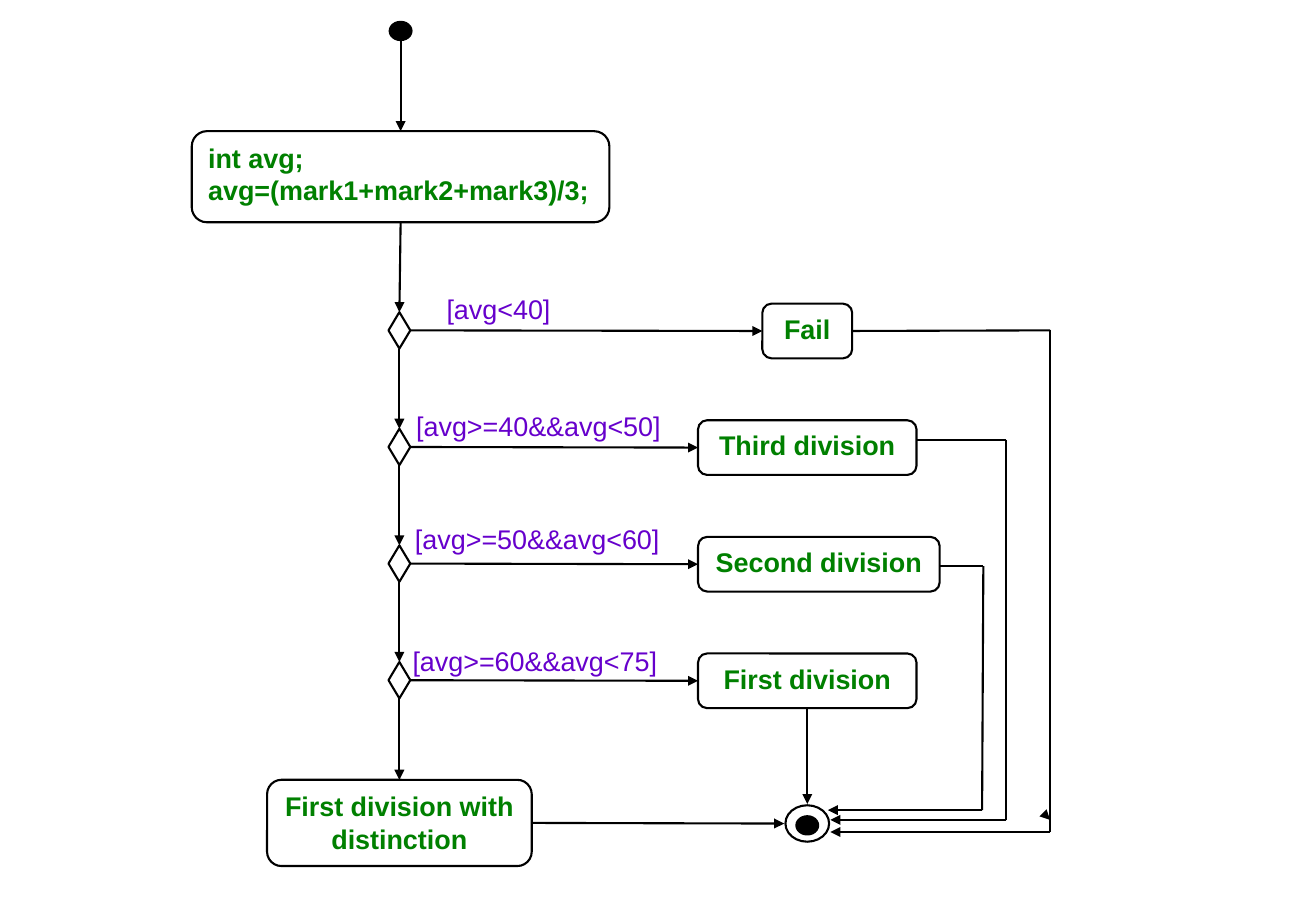
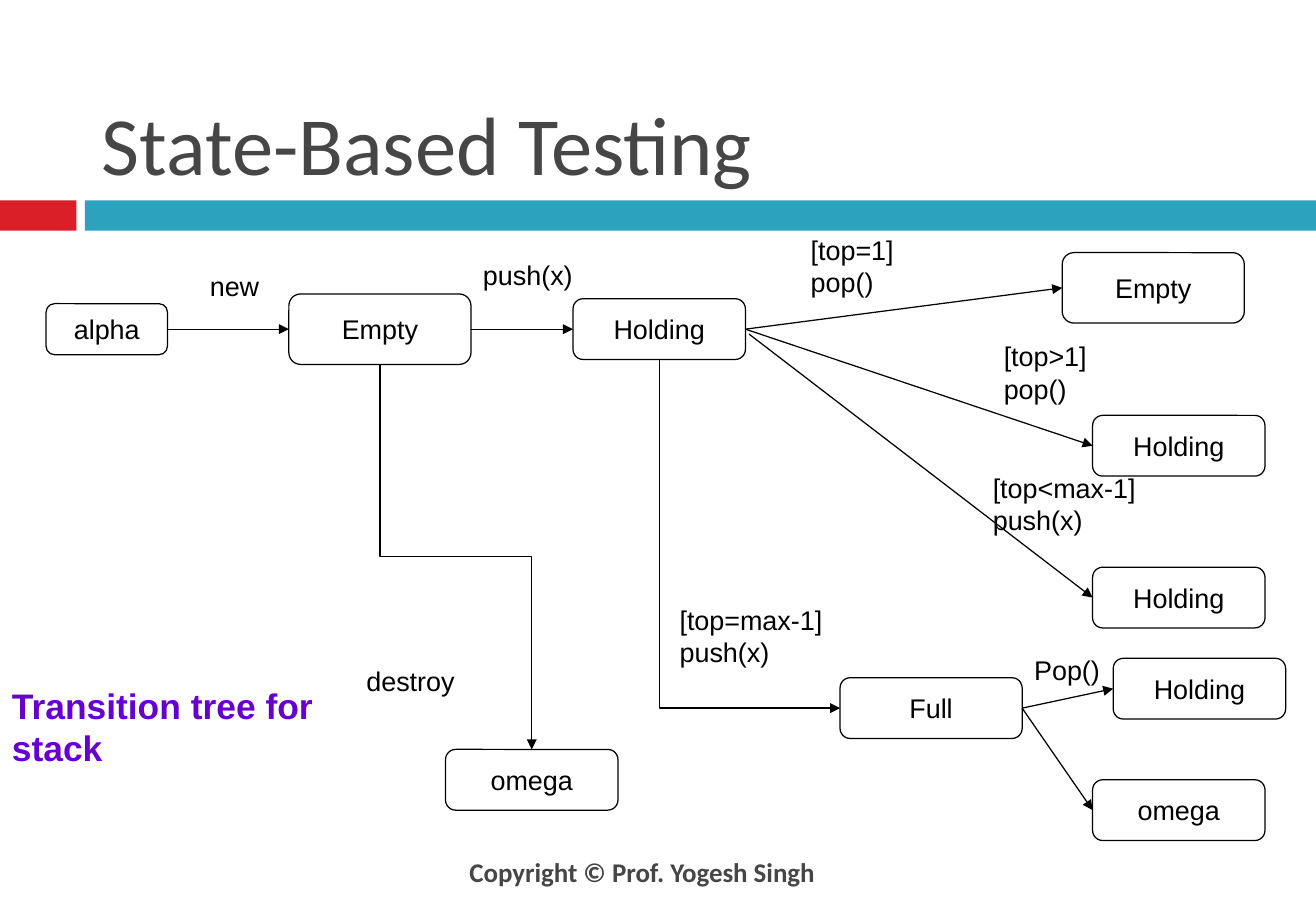
from lxml import etree
from pptx import Presentation
from pptx import util as u
from pptx.dml import color
from pptx.enum import shapes, text
from pptx.oxml.ns import qn

PX = 9144  # 100 px to the inch
BLACK, WHITE, GREY = "000000", "FFFFFF", "464646"
GREEN, PURPLE = "008000", "6600CC"
RED, TEAL = "DA1F28", "2DA2BF"
TOP, LEFT, BOTTOM, RIGHT = range(4)
SHAPE = shapes.MSO_SHAPE
ANCHOR = text.MSO_ANCHOR
ALIGN = text.PP_ALIGN


def px(value):
    return u.Emu(round(value * PX))


def rgb(value):
    return color.RGBColor.from_string(value)


# ---- text ----
def write(shape, words, size=16, ink=BLACK, bold=False, font="Arial",
          align=ALIGN.LEFT, anchor=ANCHOR.TOP, inset=(10, 5)):
    frame = shape.text_frame
    frame.word_wrap = True
    frame.auto_size = text.MSO_AUTO_SIZE.NONE
    frame.vertical_anchor = anchor
    frame.margin_left = frame.margin_right = px(inset[0])
    frame.margin_top = frame.margin_bottom = px(inset[1])
    for index, line in enumerate(words.split("\n")):
        paragraph = frame.add_paragraph() if index else frame.paragraphs[0]
        paragraph.alignment = align
        run = paragraph.add_run()
        run.text = line
        run.font.name = font
        run.font.size = u.Pt(size)
        run.font.bold = bold
        run.font.color.rgb = rgb(ink)


def label(slide, box, words, **style):
    shape = slide.shapes.add_textbox(*map(px, box))
    write(shape, words, **style)
    return shape


# ---- shapes ----
def draw(slide, kind, box, fill=WHITE, line=BLACK, weight=1.25):
    shape = slide.shapes.add_shape(kind, *map(px, box))
    shape.shadow.inherit = False
    shape.fill.solid()
    shape.fill.fore_color.rgb = rgb(fill)
    if line:
        shape.line.color.rgb = rgb(line)
        shape.line.width = u.Pt(weight)
    else:
        shape.line.fill.background()
    return shape


def activity(slide, box, words, align=ALIGN.CENTER):
    shape = draw(slide, SHAPE.ROUNDED_RECTANGLE, box)
    write(shape, words, ink=GREEN, bold=True, align=align)
    return shape


def state(slide, box, words):
    shape = draw(slide, SHAPE.ROUNDED_RECTANGLE, box, weight=0.75)
    write(shape, words, align=ALIGN.CENTER, anchor=ANCHOR.MIDDLE)
    return shape


# ---- connectors: an end is (shape, side) or (x, y) in px ----
def is_point(end):
    return isinstance(end[0], (int, float))


def locate(end):
    if is_point(end):
        return px(end[0]), px(end[1])
    shape, side = end
    across = {LEFT: 0, RIGHT: 2}.get(side, 1)
    down = {TOP: 0, BOTTOM: 2}.get(side, 1)
    return (shape.left + shape.width * across // 2,
            shape.top + shape.height * down // 2)


def link(slide, start, end, weight=1.25, arrow=True,
         kind=shapes.MSO_CONNECTOR.STRAIGHT):
    connector = slide.shapes.add_connector(kind, *locate(start), *locate(end))
    if not is_point(start):
        connector.begin_connect(*start)
    if not is_point(end):
        connector.end_connect(*end)
    connector.line.color.rgb = rgb(BLACK)
    connector.line.width = u.Pt(weight)
    properties = connector.element.spPr
    if arrow:
        etree.SubElement(properties.find(qn("a:ln")), qn("a:tailEnd"), type="triangle")
    etree.SubElement(properties, qn("a:effectLst"))
    return connector


def drop_link(slide, start, end, preset):
    """Elbow that leaves downwards: a turned and mirrored bent connector."""
    connector = link(slide, start, end, 0.75, kind=shapes.MSO_CONNECTOR.ELBOW)
    (x1, y1), (x2, y2) = locate(start), locate(end)
    width, height = y2 - y1, x2 - x1
    connector.left = (x1 + x2 - width) // 2
    connector.top = (y1 + y2 - height) // 2
    connector.width, connector.height = width, height
    properties = connector.element.spPr
    transform = properties.find(qn("a:xfrm"))
    transform.set("rot", "16200000")
    transform.set("flipH", "1")
    properties.find(qn("a:prstGeom")).set("prst", preset)


def route(slide, *stops):
    for index, (start, end) in enumerate(zip(stops, stops[1:])):
        link(slide, start, end, arrow=index == len(stops) - 2)


# ---- slides ----
def add_activity_slide(presentation):
    slide = presentation.slides.add_slide(presentation.slide_layouts[6])
    draw(slide, SHAPE.OVAL, (321, 18, 18, 15), fill=BLACK)
    average = activity(slide, (158, 108, 344, 75),
                       "int avg;\navg=(mark1+mark2+mark3)/3;", ALIGN.LEFT)
    link(slide, (330, 34), (average, TOP))

    # Decisions, one row each: guard place, guard, result left and width, result
    rows = [
        (358, 236, "[avg<40]", 628, 74, "Fail"),
        (333, 332, "[avg>=40&&avg<50]", 575, 180, "Third division"),
        (332, 425, "[avg>=50&&avg<60]", 575, 199, "Second division"),
        (330, 526, "[avg>=60&&avg<75]", 575, 180, "First division"),
    ]
    previous, results = average, []
    for row, (guard_x, guard_y, guard, left, width, result) in enumerate(rows):
        offset = 96 * row
        label(slide, (guard_x, guard_y, 254, 45), guard, ink=PURPLE)
        decision = draw(slide, SHAPE.DIAMOND, (320, 257 + offset, 18, 30))
        box = activity(slide, (left, 250 + offset, width, 45), result)
        link(slide, (previous, BOTTOM), (decision, TOP))
        link(slide, (decision, RIGHT), (box, LEFT))
        previous = decision
        results.append(box)
    distinction = activity(slide, (220, 642, 218, 71), "First division with distinction")
    link(slide, (previous, BOTTOM), (distinction, TOP))

    # Final node and the ways into it
    draw(slide, SHAPE.OVAL, (647, 663, 36, 30))
    draw(slide, SHAPE.OVAL, (656, 672, 18, 15), fill=BLACK)
    link(slide, (distinction, RIGHT), (646, 678))
    link(slide, (results[3], BOTTOM), (665, 662))
    route(slide, (results[0], RIGHT), (865, 272), (865, 685), (684, 685))
    route(slide, (755, 362), (829, 362), (829, 675), (684, 675))
    route(slide, (774, 466), (810, 466), (809, 667), (682, 667))
    link(slide, (864, 674), (865, 675))


def add_state_slide(presentation):
    slide = presentation.slides.add_slide(presentation.slide_layouts[5])

    # Bands, title and footer
    for band, fill in (((0, 165, 63, 25), RED), ((70, 165, 1014, 25), TEAL)):
        draw(slide, SHAPE.RECTANGLE, band, fill, line=None)
    title = slide.shapes.title
    title.left, title.top, title.width, title.height = map(px, (72, 17, 966, 147))
    write(title, "State-Based Testing", 49, GREY, font="Calibri",
          anchor=ANCHOR.BOTTOM, inset=(12, 6))
    label(slide, (208, 698, 642, 40), "Copyright © Prof. Yogesh Singh", ink=GREY,
          bold=True, font="Calibri", align=ALIGN.CENTER, anchor=ANCHOR.MIDDLE,
          inset=(12, 6))

    # States
    alpha = state(slide, (38, 250, 100, 42), "alpha")
    empty = state(slide, (238, 242, 150, 58), "Empty")
    holding = state(slide, (472, 246, 142, 50), "Holding")
    destroyed = state(slide, (367, 617, 142, 50), "omega")
    emptied = state(slide, (875, 208, 150, 58), "Empty")
    popped = state(slide, (900, 342, 142, 50), "Holding")
    pushed = state(slide, (900, 467, 142, 50), "Holding")
    full = state(slide, (692, 558, 150, 50), "Full")
    full_popped = state(slide, (917, 542, 142, 50), "Holding")
    full_destroyed = state(slide, (900, 642, 142, 50), "omega")

    # Transitions
    for source, target in ((alpha, empty), (empty, holding), (holding, emptied),
                           (holding, popped), (full, full_popped),
                           (full, full_destroyed)):
        link(slide, (source, RIGHT), (target, LEFT), 0.75)
    link(slide, (617, 275), (pushed, LEFT), 0.75)
    drop_link(slide, (empty, BOTTOM), (destroyed, TOP), "bentConnector3")
    drop_link(slide, (holding, BOTTOM), (full, LEFT), "bentConnector2")

    # Transition labels
    for box, words in (
        ((163, 217, 75, 37), "new"),
        ((388, 208, 125, 37), "push(x)"),
        ((658, 187, 100, 64), "[top=1] pop()"),
        ((817, 275, 100, 64), "[top>1] pop()"),
        ((808, 383, 167, 64), "[top<max-1] push(x)"),
        ((550, 492, 167, 64), "[top=max-1] push(x)"),
        ((842, 533, 75, 37), "Pop()"),
        ((292, 542, 133, 37), "destroy"),
    ):
        label(slide, box, words)
    label(slide, (0, 558, 283, 134), "Transition tree for stack", size=21,
          ink=PURPLE, bold=True)


def main():
    presentation = Presentation()
    presentation.slide_width, presentation.slide_height = px(1084), px(750)
    add_activity_slide(presentation)
    add_state_slide(presentation)
    presentation.save("out.pptx")


if __name__ == "__main__":
    main()
